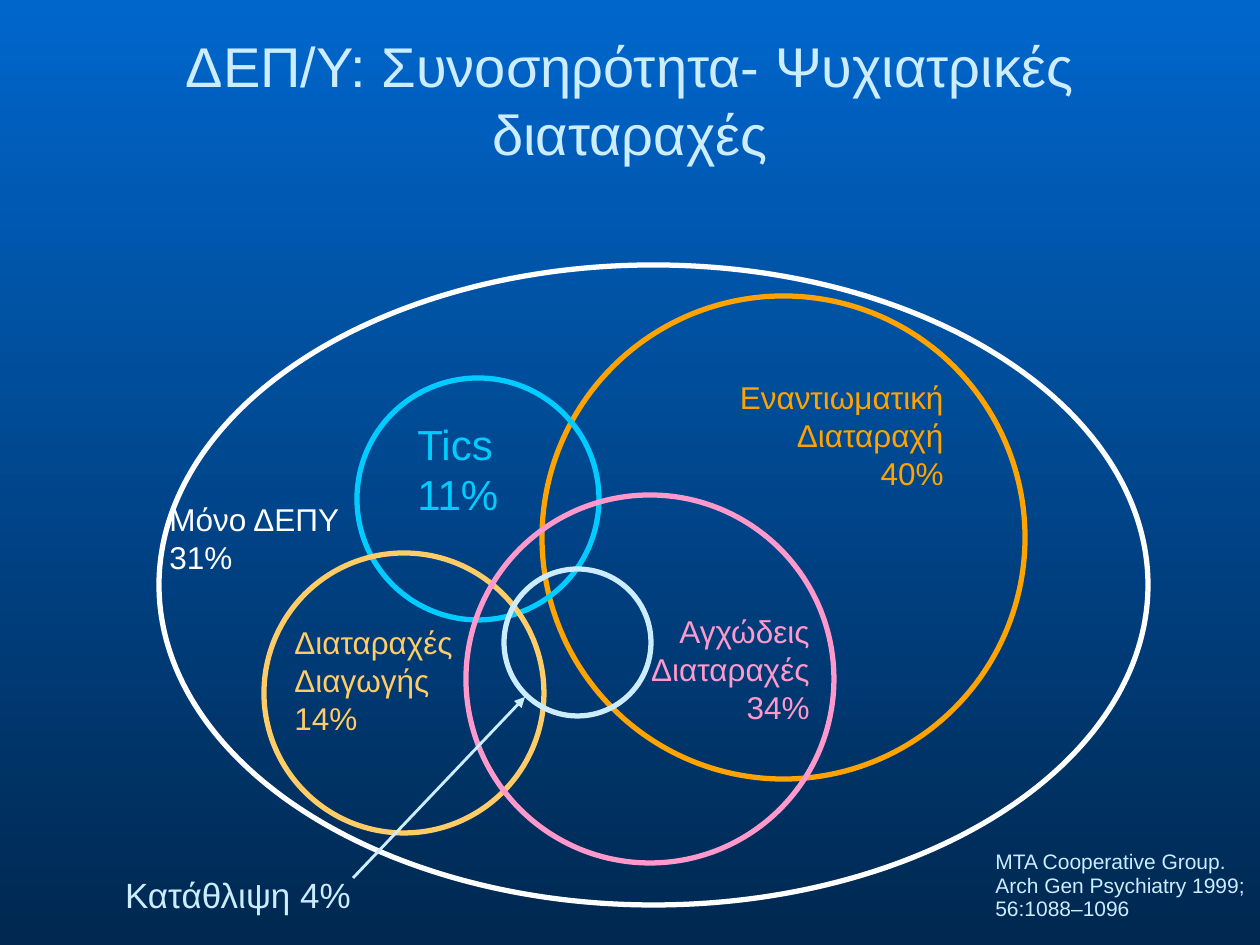
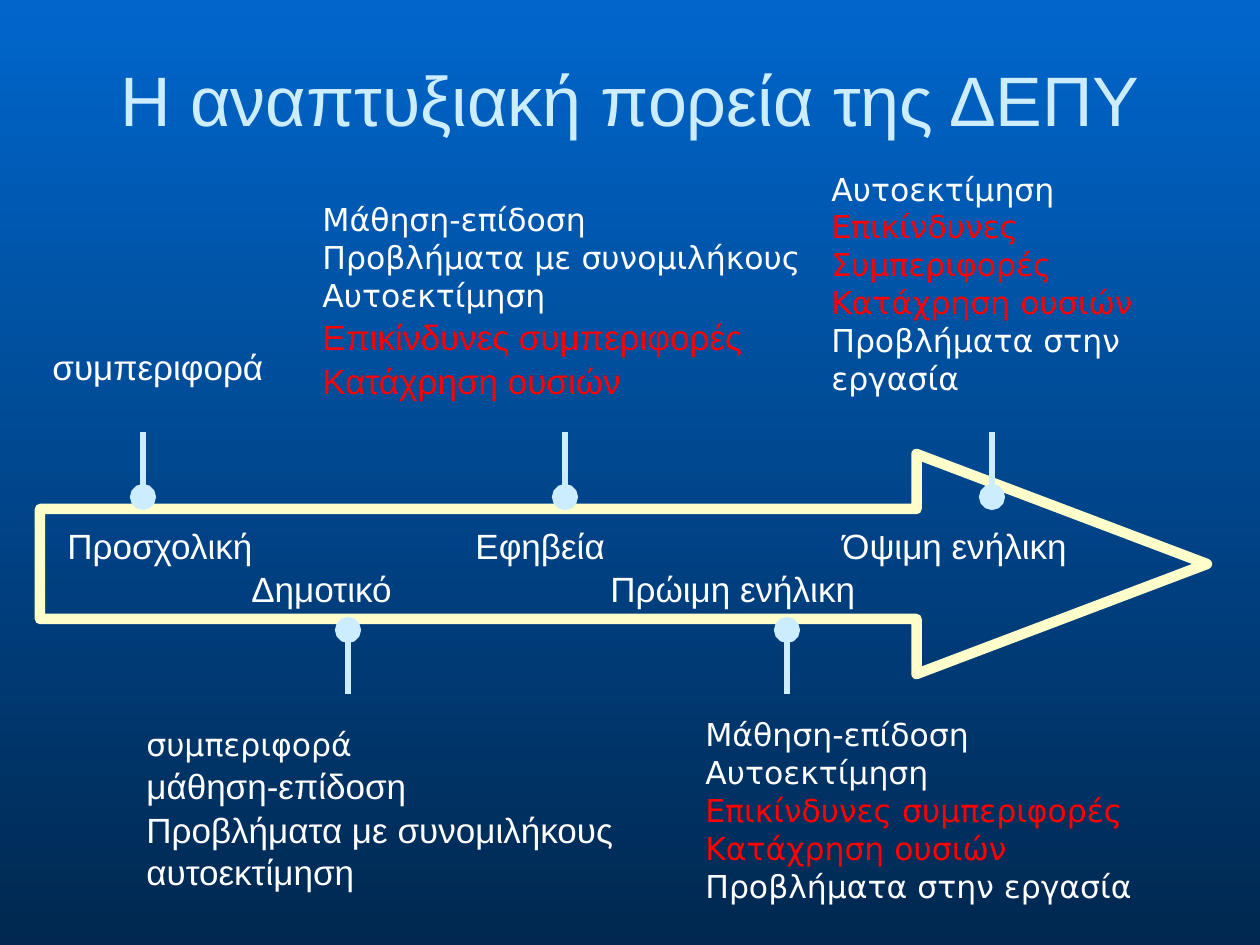
from collections import namedtuple

from lxml.etree import SubElement
from pptx import Presentation
from pptx.dml.color import RGBColor
from pptx.enum.shapes import MSO_CONNECTOR as Connector, MSO_SHAPE as Shape
from pptx.enum.text import MSO_ANCHOR as Anchor, MSO_AUTO_SIZE as AutoSize, PP_ALIGN as Align
from pptx.oxml.ns import qn
from pptx.util import Pt

PX = 914400 / 126
WIDTH, HEIGHT = 1260, 945

# Shared colours and fonts
SKY_TOP, SKY_BOTTOM = "0066CC", "002850"
PALE, WHITE, RED, CREAM = "CCECFF", "FFFFFF", "FF0000", "FFFFCC"
ORANGE, CYAN, GOLD, PINK = "FFA300", "00CCFF", "FFCC66", "FF99CC"
SANS, WIDE = "Arial", "DejaVu Sans"

# A paragraph that differs from the rest of its box
Line = namedtuple("Line", "text colour size font before", defaults=(WHITE, 20, SANS, 0))


def emu(*lengths):
    return [round(length * PX) for length in lengths]


def rgb(value):
    return RGBColor.from_string(value)


def add_page(deck, title, size):
    page = deck.slides.add_slide(deck.slide_layouts[6])
    fill = page.background.fill
    fill.gradient()
    fill.gradient_angle = 270
    for stop, colour in zip(fill.gradient_stops, (SKY_TOP, SKY_BOTTOM)):
        stop.color.rgb = rgb(colour)
    add_text(page, (42, 0, 1176, 198), [title], size, PALE, align=Align.CENTER, grow=False)
    return page


def add_text(page, area, lines, size=20, colour=WHITE, font=SANS, align=Align.LEFT,
             anchor=Anchor.MIDDLE, wrap=True, grow=True, spacing=None, tabs=()):
    box = page.shapes.add_textbox(*emu(*area))
    frame = box.text_frame
    frame.word_wrap = wrap
    frame.auto_size = AutoSize.SHAPE_TO_FIT_TEXT if grow else AutoSize.NONE
    frame.vertical_anchor = anchor
    for index, line in enumerate(lines):
        if isinstance(line, str):
            line = Line(line, colour, size, font)
        para = frame.paragraphs[0] if index == 0 else frame.add_paragraph()
        para.text = line.text
        para.alignment = align
        if tabs:
            add_tabs(para, tabs)
        if line.before:
            para.space_before = Pt(line.before)
        if spacing:
            para.line_spacing = spacing
        para.font.size = Pt(line.size)
        para.font.name = line.font
        para.font.color.rgb = rgb(line.colour)


def add_tabs(para, tabs):
    stops = SubElement(para._p.get_or_add_pPr(), qn("a:tabLst"))
    for position in emu(*tabs):
        SubElement(stops, qn("a:tab"), pos=str(position), algn="l")


def add_outline(page, kind, area, colour, weight=3):
    shape = page.shapes.add_shape(kind, *emu(*area))
    shape.shadow.inherit = False
    shape.fill.background()
    shape.line.color.rgb = rgb(colour)
    shape.line.width = Pt(weight)
    return shape


def add_marked_line(page, start, end, marker, weight, marker_size):
    """Line whose marker sits at its start."""
    line = page.shapes.add_connector(Connector.STRAIGHT, *emu(*start, *end))
    line.line.color.rgb = rgb(PALE)
    line.line.width = Pt(weight)
    SubElement(line.line._get_or_add_ln(), qn("a:headEnd"),
               type=marker, w=marker_size, len=marker_size)
    SubElement(line._element.spPr, qn("a:effectLst"))


def build_comorbidity(deck):
    page = add_page(deck, "ΔΕΠ/Υ: Συνοσηρότητα- Ψυχιατρικές διαταραχές", 32)

    # Overlapping groups
    for area, colour in (
        ((159, 265, 989, 640), WHITE),
        ((542, 296, 483, 483), ORANGE),
        ((357, 378, 242, 242), CYAN),
        ((264, 553, 280, 280), GOLD),
        ((466, 495, 368, 368), PINK),
        ((504, 569, 147, 147), PALE),
    ):
        add_outline(page, Shape.OVAL, area, colour)

    # Group labels
    add_text(page, (157, 494, 197, 88), ["Μόνο ΔΕΠΥ", "31%"], 18, wrap=False)
    add_text(page, (607, 606, 215, 126), ["Αγχώδεις Διαταραχές", "34%"], 18, PINK,
             align=Align.RIGHT)
    add_text(page, (680, 372, 276, 126), ["Εναντιωματική Διαταραχή", "40%"], 18, ORANGE,
             align=Align.RIGHT, anchor=Anchor.TOP)
    add_text(page, (405, 412, 145, 113), ["Tics", "11%"], 24, CYAN, anchor=Anchor.TOP)
    add_text(page, (282, 617, 208, 126), ["Διαταραχές Διαγωγής", "14%"], 18, GOLD,
             anchor=Anchor.TOP)

    # Callout and source
    add_marked_line(page, (525, 697), (353, 878), "triangle", 1.64, "med")
    add_text(page, (112, 867, 252, 55), ["Κατάθλιψη 4%"], 20, PALE,
             align=Align.CENTER, wrap=False)
    add_text(page, (983, 844, 277, 84),
             ["MTA Cooperative Group. Arch Gen Psychiatry 1999; 56:1088–1096"],
             12, PALE, anchor=Anchor.BOTTOM, spacing=0.95)


def build_course(deck):
    page = add_page(deck, "Η αναπτυξιακή πορεία της ΔΕΠΥ", 40)

    # Timeline arrow and life stages
    arrow = add_outline(page, Shape.RIGHT_ARROW, (40, 454, 1167, 220), CREAM, 6)
    arrow.adjustments[0] = 0.5
    arrow.adjustments[1] = 1.32
    add_text(page, (55, 518, 1101, 55), ["Προσχολική\tΕφηβεία\tΌψιμη ενήλικη"],
             tabs=(408, 775))
    add_text(page, (239, 561, 1021, 55), ["Δημοτικό\tΠρώιμη ενήλικη"], tabs=(359,))

    # Pins above and below the arrow
    for dot, tip, columns in ((497, 432, (143, 565, 992)), (630, 694, (348, 787))):
        for x in columns:
            add_marked_line(page, (x, dot), (x, tip), "oval", 3, "lg")

    # Difficulties at each stage
    risks = "Επικίνδυνες συμπεριφορές"
    abuse = "Κατάχρηση ουσιών"
    work = "Προβλήματα στην εργασία"
    add_text(page, (40, 339, 236, 55), ["συμπεριφορά"], align=Align.CENTER, wrap=False)
    add_text(page, (134, 718, 504, 181), [
        Line("συμπεριφορά", size=18, font=WIDE),
        Line("μάθηση-επίδοση", before=1.2),
        Line("Προβλήματα με συνομιλήκους αυτοεκτίμηση", before=1.2),
    ])
    add_text(page, (310, 194, 536, 214), [
        "Μάθηση-επίδοση",
        "Προβλήματα με συνομιλήκους Αυτοεκτίμηση",
        Line(risks, RED, before=1.2),
        Line(abuse, RED, before=1.2),
    ], 18, font=WIDE)
    add_text(page, (693, 709, 504, 202), [
        "Μάθηση-επίδοση", "Αυτοεκτίμηση",
        Line(risks, RED, 18, WIDE), Line(abuse, RED, 18, WIDE), work,
    ], 18, font=WIDE)
    add_text(page, (819, 163, 441, 240), [
        "Αυτοεκτίμηση",
        Line("Επικίνδυνες Συμπεριφορές", RED, 18, WIDE), Line(abuse, RED, 18, WIDE), work,
    ], 18, font=WIDE)


def main():
    deck = Presentation()
    deck.slide_width, deck.slide_height = emu(WIDTH, HEIGHT)
    build_comorbidity(deck)
    build_course(deck)
    deck.save("out.pptx")


if __name__ == "__main__":
    main()
